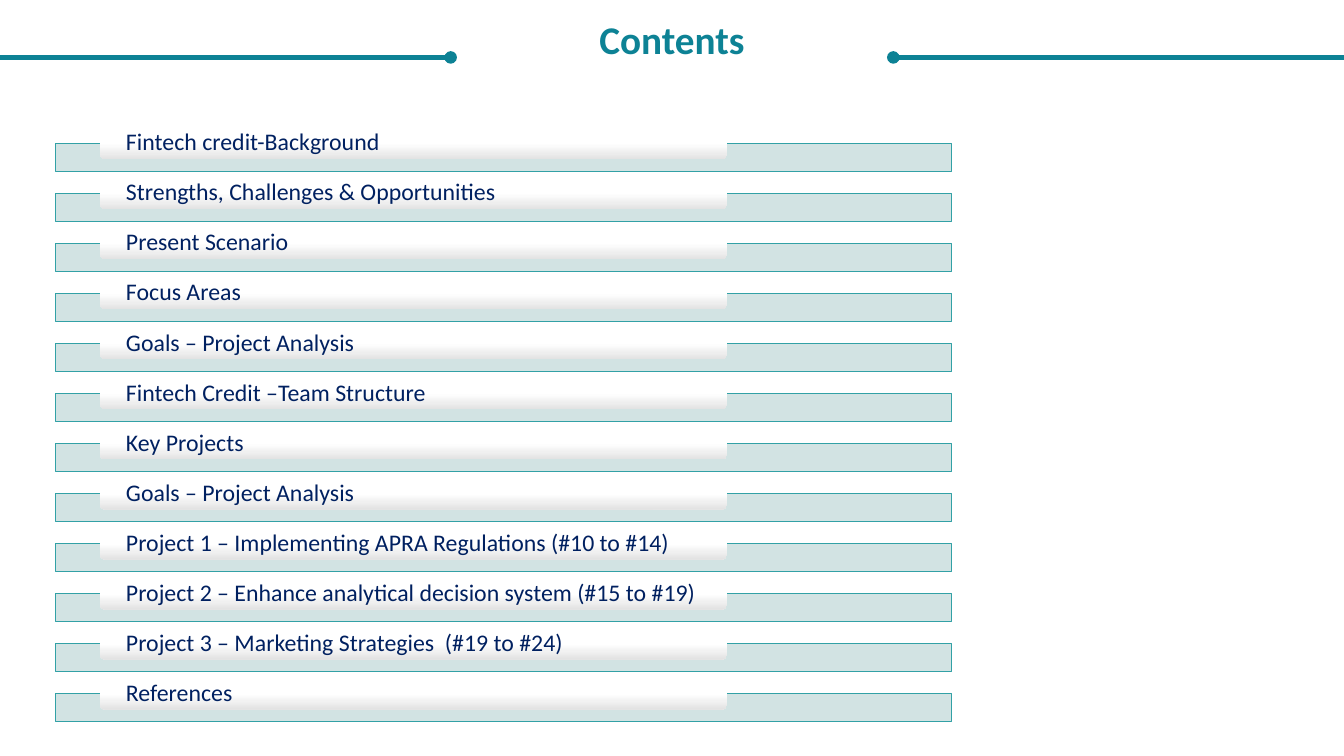
from pptx import Presentation
from pptx.dml.color import RGBColor
from pptx.enum.shapes import MSO_CONNECTOR as CONN, MSO_SHAPE as SHAPE
from pptx.enum.text import MSO_ANCHOR as ANCHOR, PP_ALIGN as ALIGN
from pptx.oxml.ns import qn
from pptx.util import Inches, Pt
from lxml.etree import SubElement

TEAL, NAVY = "0D8295", "002060"
TOPICS = [
    "Fintech credit-Background",
    "Strengths, Challenges & Opportunities",
    "Present Scenario",
    "Focus Areas",
    "Goals – Project Analysis",
    "Fintech Credit –Team Structure",
    "Key Projects",
    "Goals – Project Analysis",
    "Project 1 – Implementing APRA Regulations (#10 to #14)",
    "Project 2 – Enhance analytical decision system (#15 to #19)",
    "Project 3 – Marketing Strategies  (#19 to #24)",
    "References",
]


def rgb(color):
    return RGBColor.from_string(color)


def add_text(s, box, text, size, color, bold=False, align=ALIGN.LEFT,
             anchor=ANCHOR.TOP, inset=0):
    tf = s.shapes.add_textbox(*map(Inches, box)).text_frame
    tf.word_wrap = True
    tf.vertical_anchor = anchor
    tf.margin_left = tf.margin_right = Inches(inset)
    tf.margin_top = tf.margin_bottom = 0
    p = tf.paragraphs[0]
    p.alignment = align
    p.line_spacing = 0.9
    r = p.add_run()
    r.text = text
    r.font.name = "Calibri"
    r.font.size = Pt(size)
    r.font.bold = bold
    r.font.color.rgb = rgb(color)


def add_shape(s, kind, box):
    sp = s.shapes.add_shape(kind, *map(Inches, box))
    sp.shadow.inherit = False
    return sp


def add_rule(s, x1, x2, y, dot_end):
    line = s.shapes.add_connector(CONN.STRAIGHT, *map(Inches, (x1, y, x2, y)))
    line.line.color.rgb = rgb(TEAL)
    line.line.width = Pt(3)
    SubElement(line.line._get_or_add_ln(), qn(f"a:{dot_end}"), type="oval")
    SubElement(line._element.spPr, qn("a:effectLst"))


def add_header(s, x, y, w, h):
    add_text(s, (x + 0.25, y + 0.2, w - 0.5, 0.42), "Contents", 28, TEAL,
             bold=True, align=ALIGN.CENTER)
    rule_w = 4.47
    add_rule(s, x, x + rule_w, y + h, "tailEnd")
    add_rule(s, x + w - rule_w, x + w, y + h, "headEnd")


def add_topic(s, x, y, w, text):
    bar = add_shape(s, SHAPE.RECTANGLE, (x, y + 0.16, w, 0.28))
    bar.fill.solid()
    bar.fill.fore_color.rgb = rgb("CEE0E1")
    color = bar._element.spPr.find(qn("a:solidFill"))[0]
    SubElement(color, qn("a:alpha"), val="90000")
    bar.line.color.rgb = rgb("32A1A6")
    bar.line.width = Pt(0.5)

    label_x, label_w = x + 0.44, w * 0.7
    label = add_shape(s, SHAPE.ROUNDED_RECTANGLE, (label_x, y, label_w, 0.32))
    label.fill.gradient()
    label.fill.gradient_angle = 270
    for stop, position, shade in zip(label.fill.gradient_stops, (0.5, 1),
                                     ("FFFFFF", "E3E3E3")):
        stop.position = position
        stop.color.rgb = rgb(shade)
    label.line.fill.background()

    add_text(s, (label_x + 0.02, y + 0.015, label_w - 0.03, 0.29), text, 17,
             NAVY, anchor=ANCHOR.MIDDLE, inset=0.24)


def add_topics(s, x, y, w, h):
    pitch = (h - 0.44) / (len(TOPICS) - 1)
    for i, text in enumerate(TOPICS):
        add_topic(s, x, y + i * pitch, w, text)


def main():
    prs = Presentation()
    prs.slide_width, prs.slide_height = Inches(13.33), Inches(7.5)
    s = prs.slides.add_slide(prs.slide_layouts[6])
    add_header(s, 0, 0, 13.33, 0.57)
    add_topics(s, 0.55, 1.26, 8.89, 5.9)
    prs.save("out.pptx")


if __name__ == "__main__":
    main()
